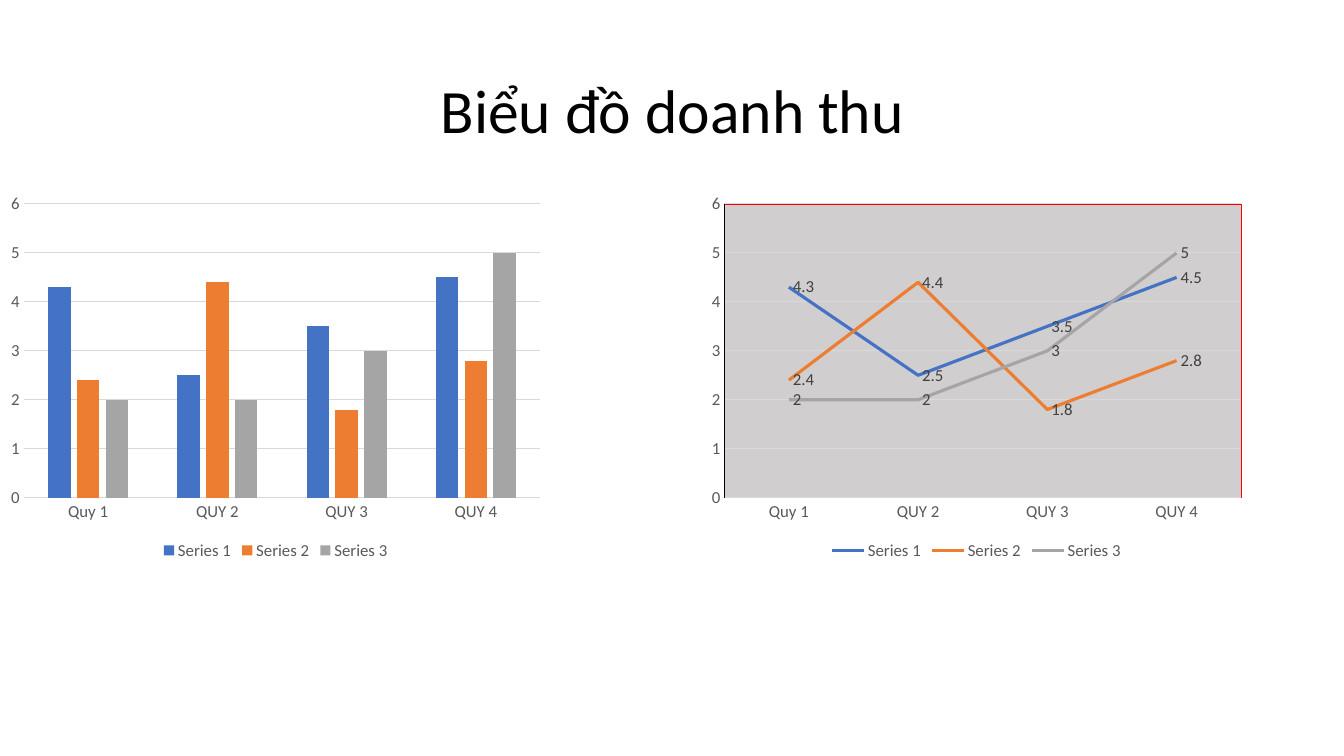
from lxml import etree
from pptx import Presentation
from pptx.chart.data import CategoryChartData
from pptx.dml.color import RGBColor
from pptx.enum.chart import XL_CHART_TYPE, XL_LABEL_POSITION, XL_LEGEND_POSITION, XL_TICK_MARK
from pptx.enum.text import MSO_ANCHOR, MSO_AUTO_SIZE, PP_ALIGN
from pptx.oxml import parse_xml
from pptx.oxml.ns import nsdecls
from pptx.util import Inches, Pt

COLUMN = XL_CHART_TYPE.COLUMN_CLUSTERED
LINE = XL_CHART_TYPE.LINE
BOTTOM = XL_LEGEND_POSITION.BOTTOM
LABEL_RIGHT = XL_LABEL_POSITION.RIGHT
NO_TICK = XL_TICK_MARK.NONE
CENTER = PP_ALIGN.CENTER
MIDDLE = MSO_ANCHOR.MIDDLE
NO_AUTOFIT = MSO_AUTO_SIZE.NONE

QUARTERS = ["Quy 1", "QUY 2", "QUY 3", "QUY 4"]
REVENUE = {
    "Series 1": (4.3, 2.5, 3.5, 4.5),
    "Series 2": (2.4, 4.4, 1.8, 2.8),
    "Series 3": (2, 2, 3, 5),
}
SERIES_COLORS = ["4472C4", "ED7D31", "A5A5A5"]


def rgb(value):
    return RGBColor.from_string(value)


class RevenueSlide:
    font = "Calibri"
    text_color = "595959"
    label_color = "404040"
    grid_color = "D9D9D9"

    def __init__(self, prs):
        self.slide = prs.slides.add_slide(prs.slide_layouts[5])

    def style_font(self, font, size, color):
        font.name = self.font
        font.size = Pt(size)
        font.color.rgb = rgb(color)

    def style_line(self, line, color, width):
        line.color.rgb = rgb(color)
        line.width = Pt(width)

    def title(self, text, left, top, width, height):
        sp = self.slide.shapes.title
        sp.left, sp.top = Inches(left), Inches(top)
        sp.width, sp.height = Inches(width), Inches(height)
        tf = sp.text_frame
        tf.word_wrap = True
        tf.auto_size = NO_AUTOFIT
        tf.vertical_anchor = MIDDLE
        p = tf.paragraphs[0]
        p.alignment = CENTER
        p.line_spacing = 0.9
        r = p.add_run()
        r.text = text
        self.style_font(r.font, 44, "000000")

    def chart(self, kind, left, top, width, height):
        """Add a chart of the quarterly revenue with the shared axis and legend style."""
        data = CategoryChartData()
        data.categories = QUARTERS
        for name, values in REVENUE.items():
            data.add_series(name, values)
        chart = self.slide.shapes.add_chart(
            kind, Inches(left), Inches(top), Inches(width), Inches(height), data
        ).chart
        chart.has_title = False
        self.style_font(chart.font, 10, "000000")
        chart.has_legend = True
        chart.legend.position = BOTTOM
        chart.legend.include_in_layout = False
        self.style_font(chart.legend.font, 12, self.text_color)
        for axis in (chart.category_axis, chart.value_axis):
            axis.major_tick_mark = axis.minor_tick_mark = NO_TICK
            self.style_font(axis.tick_labels.font, 12, self.text_color)
        self.style_line(chart.category_axis.format.line, self.grid_color, 0.75)
        axis = chart.value_axis
        axis.minimum_scale, axis.maximum_scale, axis.major_unit = 0, 6, 1
        axis.format.line.fill.background()
        self.style_line(axis.major_gridlines.format.line, self.grid_color, 0.75)
        chart.plots[0].vary_by_categories = False
        return chart

    def column_chart(self, *box):
        plot = self.chart(COLUMN, *box).plots[0]
        plot.gap_width = 219
        plot.overlap = -27
        for series, color in zip(plot.series, SERIES_COLORS):
            series.format.fill.solid()
            series.format.fill.fore_color.rgb = rgb(color)

    def line_chart(self, *box):
        chart = self.chart(LINE, *box)
        self.style_line(chart.value_axis.format.line, "000000", 0.5)
        for series, color in zip(chart.plots[0].series, SERIES_COLORS):
            series.smooth = False
            self.style_line(series.format.line, color, 2.25)
            labels = series.data_labels
            labels.show_value = True
            labels.position = LABEL_RIGHT
            self.style_font(labels.font, 12, self.label_color)
        self.plot_area(chart, "D0CECE", "FF0000")

    def plot_area(self, chart, fill, border):
        area = chart.plots[0]._element.getparent()
        sp_pr = parse_xml(f"<c:spPr {nsdecls('c', 'a')}/>")
        solid = self.solid_fill(sp_pr, fill)
        ln = etree.SubElement(sp_pr, solid.tag.replace("solidFill", "ln"), w=str(Pt(0.5)))
        self.solid_fill(ln, border)
        area.append(sp_pr)

    def solid_fill(self, parent, color):
        solid = parse_xml(
            f'<a:solidFill {nsdecls("a")}><a:srgbClr val="{color}"/></a:solidFill>'
        )
        parent.append(solid)
        return solid


def main():
    prs = Presentation()
    prs.slide_width, prs.slide_height = Inches(13.33), Inches(7.5)
    s = RevenueSlide(prs)
    s.title("Biểu đồ doanh thu", 0.92, 0.4, 11.5, 1.45)
    s.column_chart(0, 1.85, 5.47, 3.75)
    s.line_chart(6.95, 1.85, 5.47, 3.75)
    prs.save("out.pptx")


if __name__ == "__main__":
    main()
